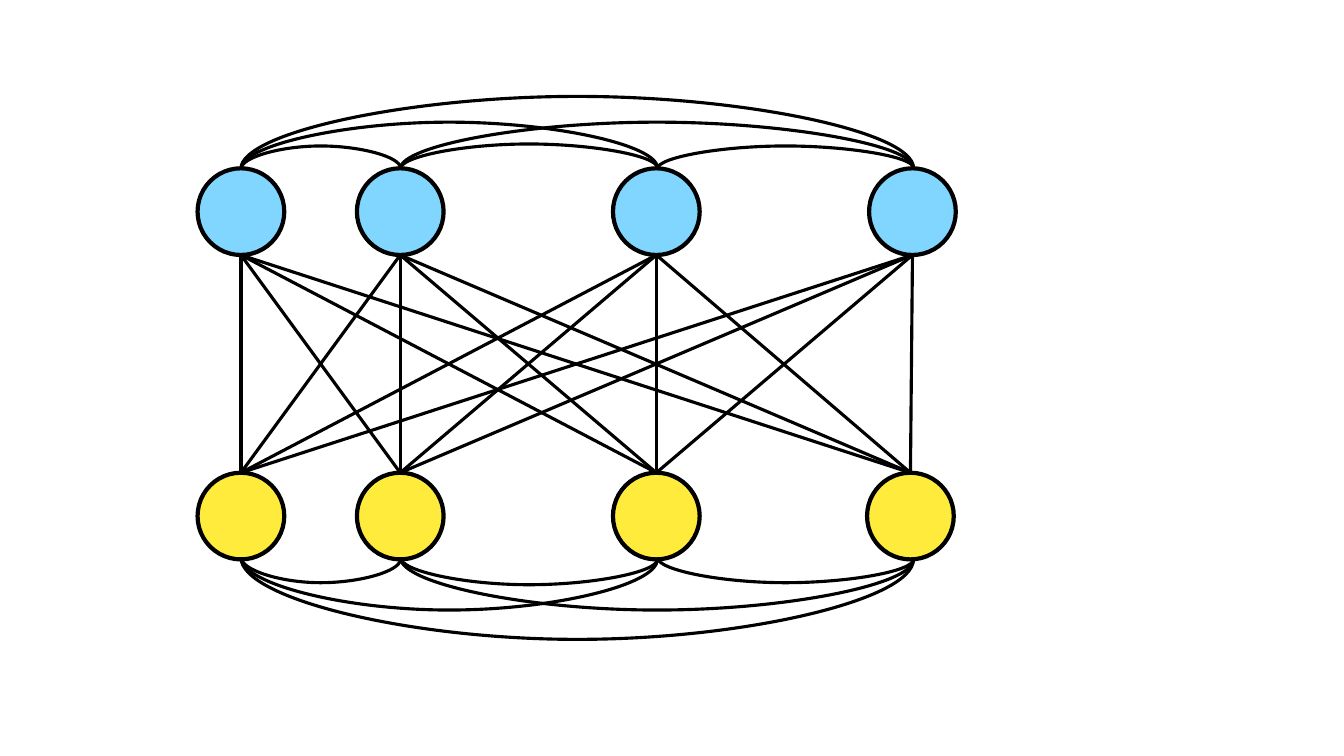
import itertools
from dataclasses import dataclass

import pptx
import pptx.dml.color
import pptx.enum.shapes
import pptx.oxml.ns
import pptx.shapes.connector
import pptx.shapes.shapetree
import pptx.util
from lxml import etree

Inches = pptx.util.Inches


@dataclass(frozen=True)
class Theme:
    upper_fill: str = "80D6FF"
    lower_fill: str = "FFEB3B"
    line: str = "000000"
    node_line_width: float = 3
    edge_line_width: float = 2.25


@dataclass(frozen=True)
class Layer:
    """A row of nodes, linked among themselves by arcs outside the row."""
    centers: tuple[float, ...]
    top: float
    fill: str
    arc_level: float
    arc_heights: dict[tuple[int, int], float]
    arc_thickness: float
    arc_transform: dict[str, str]


THEME = Theme()
DIAMETER = 0.86
ARC_ENDS = (2.39, 3.97, 6.52, 9.06)

UPPER = Layer(
    centers=(2.39, 3.97, 6.51, 9.05), top=1.67, fill=THEME.upper_fill,
    arc_level=1.67, arc_thickness=0.01,
    arc_heights={(0, 1): 0.23, (0, 2): 0.47, (0, 3): 0.73,
                 (1, 2): 0.25, (2, 3): 0.23, (1, 3): 0.47},
    arc_transform={"rot": "5400000", "flipH": "1", "flipV": "1"},
)
LOWER = Layer(
    centers=(2.39, 3.97, 6.51, 9.03), top=4.69, fill=THEME.lower_fill,
    arc_level=5.54, arc_thickness=0.02,
    arc_heights={(0, 1): 0.25, (0, 2): 0.52, (0, 3): 0.81,
                 (1, 2): 0.27, (2, 3): 0.25, (1, 3): 0.52},
    arc_transform={"rot": "16200000", "flipH": "1"},
)


def color(value: str) -> pptx.dml.color.RGBColor:
    return pptx.dml.color.RGBColor.from_string(value)


def draw_nodes(shapes: pptx.shapes.shapetree.GroupShapes, layer: Layer) -> None:
    for center in layer.centers:
        node = shapes.add_shape(
            pptx.enum.shapes.MSO_SHAPE.OVAL,
            Inches(center - DIAMETER / 2), Inches(layer.top),
            Inches(DIAMETER), Inches(DIAMETER))
        node.shadow.inherit = False
        node.fill.solid()
        node.fill.fore_color.rgb = color(layer.fill)
        node.line.color.rgb = color(THEME.line)
        node.line.width = pptx.util.Pt(THEME.node_line_width)


def draw_connector(
    shapes: pptx.shapes.shapetree.GroupShapes,
    kind: pptx.enum.shapes.MSO_CONNECTOR,
    start: tuple[float, float],
    end: tuple[float, float],
) -> pptx.shapes.connector.Connector:
    connector = shapes.add_connector(kind, *map(Inches, start + end))
    connector.line.color.rgb = color(THEME.line)
    connector.line.width = pptx.util.Pt(THEME.edge_line_width)
    etree.SubElement(connector._element.spPr, pptx.oxml.ns.qn("a:effectLst"))
    return connector


def draw_arcs(shapes: pptx.shapes.shapetree.GroupShapes, layer: Layer) -> None:
    half_thickness = layer.arc_thickness / 2
    for (first, last), height in layer.arc_heights.items():
        left, right = ARC_ENDS[first], ARC_ENDS[last]
        middle, half_span = (left + right) / 2, (right - left) / 2
        # A tall, thin box turned by a quarter lies flat between the nodes
        arc = draw_connector(
            shapes, pptx.enum.shapes.MSO_CONNECTOR.CURVE,
            (middle - half_thickness, layer.arc_level - half_span),
            (middle + half_thickness, layer.arc_level + half_span))
        properties = arc._element.spPr
        transform = properties.find(pptx.oxml.ns.qn("a:xfrm"))
        for name, value in layer.arc_transform.items():
            transform.set(name, value)
        adjustments = properties.find(".//" + pptx.oxml.ns.qn("a:avLst"))
        bulge = round(height / layer.arc_thickness * 100000)
        etree.SubElement(adjustments, pptx.oxml.ns.qn("a:gd"),
                         name="adj1", fmla=f"val {bulge}")


def main() -> None:
    presentation = pptx.Presentation()
    presentation.slide_width = Inches(13.33)
    presentation.slide_height = Inches(7.5)
    slide = presentation.slides.add_slide(presentation.slide_layouts[6])
    network = slide.shapes.add_group_shape().shapes

    # Two rows of nodes
    for layer in (UPPER, LOWER):
        draw_nodes(network, layer)

    # Every upper node joined to every lower node
    for upper, lower in itertools.product(UPPER.centers, LOWER.centers):
        draw_connector(network, pptx.enum.shapes.MSO_CONNECTOR.STRAIGHT,
                       (upper, UPPER.top + DIAMETER), (lower, LOWER.top))

    # Arcs within each row
    for layer in (UPPER, LOWER):
        draw_arcs(network, layer)

    presentation.save("out.pptx")


if __name__ == "__main__":
    main()
